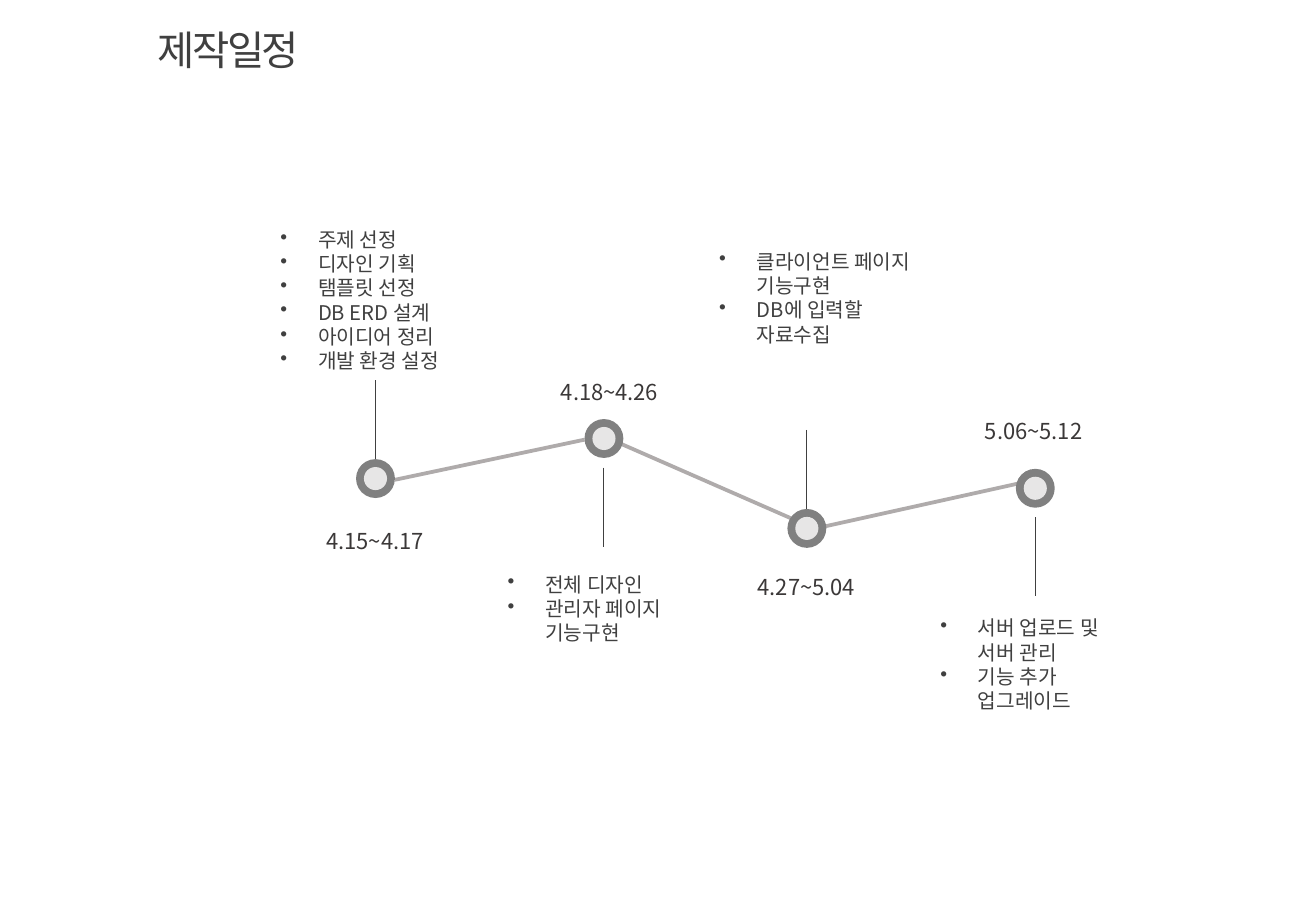
from dataclasses import dataclass

from lxml import etree
from pptx import Presentation
from pptx.dml.color import RGBColor
from pptx.enum.shapes import MSO_CONNECTOR, MSO_SHAPE
from pptx.enum.text import PP_ALIGN
from pptx.oxml.ns import qn
from pptx.util import Inches, Pt

STRAIGHT = MSO_CONNECTOR.STRAIGHT
OVAL = MSO_SHAPE.OVAL
CENTER = PP_ALIGN.CENTER

FONT = "Noto Sans CJK KR"
TEXT_GRAY = RGBColor(0x40, 0x40, 0x40)
DATE_GRAY = RGBColor(0x3B, 0x38, 0x38)
LINK_GRAY = RGBColor(0xAF, 0xAB, 0xAB)
RING_GRAY = RGBColor(0x80, 0x80, 0x80)
CORE_GRAY = RGBColor(0xE7, 0xE6, 0xE6)

RING_SIZE = 0.32
CORE_SIZE = 0.19
STEM_LENGTH = 0.65
STEM_GAP = 0.08
BULLET_INDENT = 0.31


@dataclass
class Milestone:
    """One stop on the schedule: node centre, date box and task box."""

    center: tuple
    dates: str
    dates_box: tuple
    tasks: tuple
    tasks_box: tuple
    tasks_above: bool


MILESTONES = (
    Milestone((3.09, 3.94), "4.15~4.17", (2.51, 4.29, 1.15, 0.32),
              ("주제 선정", "디자인 기획", "탬플릿 선정", "DB ERD 설계",
               "아이디어 정리", "개발 환경 설정"),
              (2.21, 1.82, 1.76, 1.31), True),
    Milestone((4.97, 3.61), "4.18~4.26", (4.44, 3.07, 1.15, 0.32),
              ("전체 디자인", "관리자 페이지 기능구현"),
              (4.08, 4.66, 1.76, 1.11), False),
    Milestone((6.64, 4.35), "4.27~5.04", (6.06, 4.67, 1.15, 0.32),
              ("클라이언트 페이지 기능구현", "DB에 입력할\v자료수집"),
              (5.82, 2.0, 2.04, 0.91), True),
    Milestone((8.52, 4.02), "5.06~5.12", (7.93, 3.39, 1.15, 0.32),
              ("서버 업로드 및 서버 관리", "기능 추가 업그레이드"),
              (7.64, 5.02, 1.76, 0.91), False),
)
LINKS = (
    ((3.25, 3.95), (4.81, 3.62)),
    ((5.01, 3.61), (6.63, 4.32)),
    ((6.67, 4.36), (8.43, 3.97)),
)


def add_text(slide, box, lines, size, color, wrap=True):
    """Place a text box with one paragraph per line and return its paragraphs."""
    frame = slide.shapes.add_textbox(*map(Inches, box)).text_frame
    frame.word_wrap = wrap
    frame.text = "\n".join(lines)
    for paragraph in frame.paragraphs:
        paragraph.font.size = Pt(size)
        paragraph.font.name = FONT
        paragraph.font.color.rgb = color
        for run in paragraph.runs:
            east_asian = etree.SubElement(run._r.get_or_add_rPr(), qn("a:ea"))
            east_asian.set("typeface", FONT)
    return frame.paragraphs


def add_line(slide, start, end, color, width):
    """Draw a straight line without a shadow."""
    line = slide.shapes.add_connector(STRAIGHT, *map(Inches, start + end))
    line.line.color.rgb = color
    line.line.width = Pt(width)
    etree.SubElement(line._element.spPr, qn("a:effectLst"))


def add_disc(slide, center, size, color):
    """Draw a filled circle around a centre."""
    x, y = center
    box = (x - size / 2, y - size / 2, size, size)
    disc = slide.shapes.add_shape(OVAL, *map(Inches, box))
    disc.shadow.inherit = False
    disc.fill.solid()
    disc.fill.fore_color.rgb = color
    disc.line.fill.background()


def add_title(slide, box, title):
    """Write the tightly spaced slide title."""
    heading = add_text(slide, box, (title,), 24, TEXT_GRAY)[0]
    for run in heading.runs:
        run._r.get_or_add_rPr().set("spc", "-150")


def add_tasks(slide, box, tasks):
    """Write a bulleted task list with a hanging indent."""
    for paragraph in add_text(slide, box, tasks, 12, TEXT_GRAY):
        properties = paragraph._p.get_or_add_pPr()
        properties.set("marL", str(Inches(BULLET_INDENT)))
        properties.set("indent", str(-Inches(BULLET_INDENT)))
        bullet = etree.Element(qn("a:buChar"), char="•")
        properties.insert(0, bullet)


def add_milestone(slide, milestone):
    """Draw a node with its dates, stem and tasks."""
    x, y = milestone.center
    if milestone.tasks_above:
        stem_top = y - RING_SIZE / 2 - STEM_LENGTH
    else:
        stem_top = y + RING_SIZE / 2 + STEM_GAP
    add_disc(slide, milestone.center, RING_SIZE, RING_GRAY)
    add_disc(slide, milestone.center, CORE_SIZE, CORE_GRAY)
    dates = add_text(slide, milestone.dates_box, (milestone.dates,), 13,
                     DATE_GRAY, wrap=False)
    dates[0].alignment = CENTER
    add_tasks(slide, milestone.tasks_box, milestone.tasks)
    add_line(slide, (x, stem_top), (x, stem_top + STEM_LENGTH), TEXT_GRAY, 0.5)


def main():
    """Build the production schedule slide."""
    deck = Presentation()
    deck.slide_width = Inches(10.83)
    deck.slide_height = Inches(7.5)
    slide = deck.slides.add_slide(deck.slide_layouts[6])
    add_title(slide, (1.2, 0.16, 1.55, 0.5), "제작일정")
    for start, end in LINKS:
        add_line(slide, start, end, LINK_GRAY, 2.25)
    for milestone in MILESTONES:
        add_milestone(slide, milestone)
    deck.save("out.pptx")


if __name__ == "__main__":
    main()
